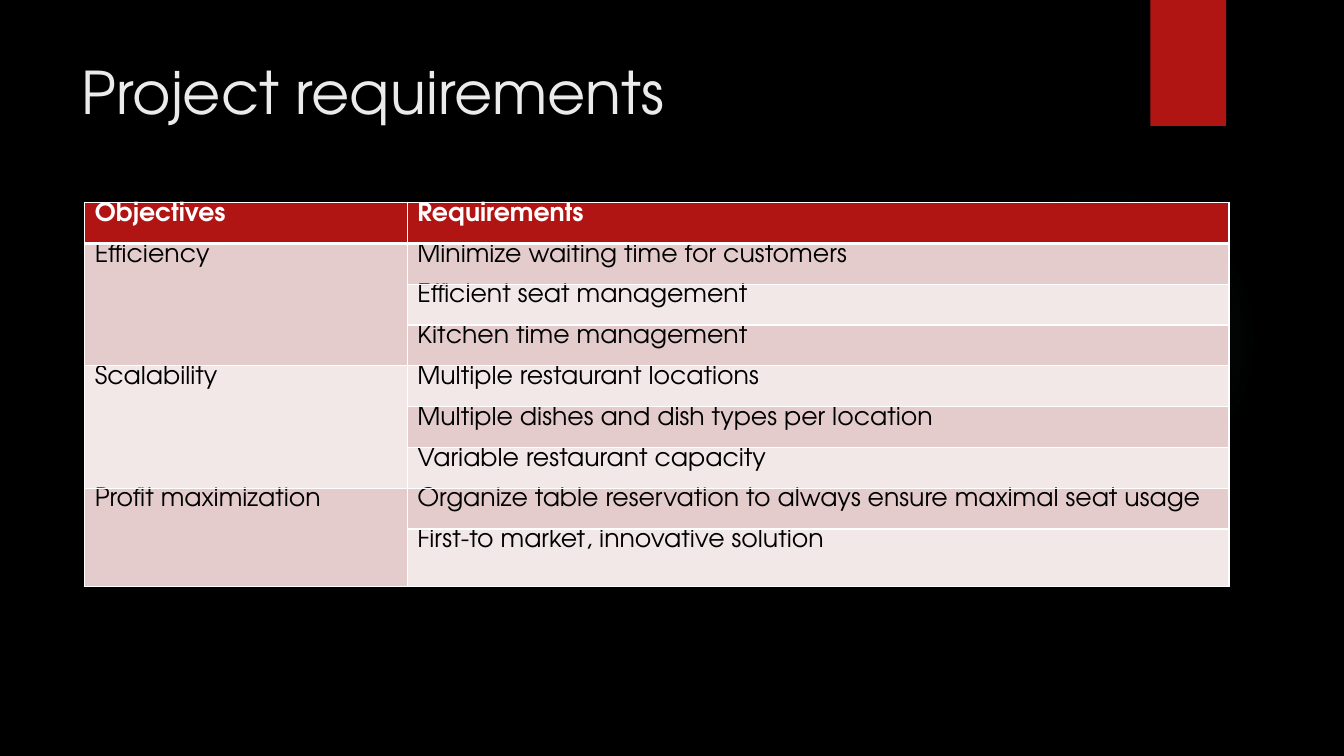
"""Build the project requirements slide: objectives and the requirements under each."""
from lxml import etree
from pptx import Presentation
from pptx.dml.color import RGBColor
from pptx.enum.shapes import MSO_SHAPE as Shape
from pptx.enum.text import MSO_ANCHOR as Anchor, PP_ALIGN as Align
from pptx.oxml import parse_xml
from pptx.oxml.ns import nsdecls, qn
from pptx.util import Inches, Pt

BLACK = RGBColor(0x00, 0x00, 0x00)
WHITE = RGBColor(0xFF, 0xFF, 0xFF)
PALE = RGBColor(0xEB, 0xEB, 0xEB)
RED = RGBColor(0xB0, 0x15, 0x13)
ROSE = RGBColor(0xE4, 0xCC, 0xCC)
BLUSH = RGBColor(0xF2, 0xE8, 0xE7)
TEAL = RGBColor(0x50, 0xB9, 0xC1)
FONT = "TeX Gyre Adventor"

OBJECTIVES = {
    "Efficiency": [
        "Minimize waiting time for customers",
        "Efficient seat management",
        "Kitchen time management",
    ],
    "Scalability": [
        "Multiple restaurant locations",
        "Multiple dishes and dish types per location",
        "Variable restaurant capacity",
    ],
    "Profit maximization": [
        "Organize table reservation to always ensure maximal seat usage",
        "First-to market, innovative solution",
    ],
}

deck = Presentation()
deck.slide_width, deck.slide_height = Inches(13.33), Inches(7.5)


def area(left, top, width, height):
    """Turn percentages of the slide into a box."""
    across, down = deck.slide_width / 100, deck.slide_height / 100
    return [round(n) for n in (left * across, top * down, width * across, height * down)]


def write(frame, text, **looks):
    """Put one formatted line of text in a frame."""
    line = frame.paragraphs[0]
    line.text, line.alignment = text, Align.LEFT
    font = line.runs[0].font
    font.color.rgb = looks.pop("color")
    for key, value in {"name": FONT, **looks}.items():
        setattr(font, key, value)


slide = deck.slides.add_slide(deck.slide_layouts[5])
slide.background.fill.solid()
slide.background.fill.fore_color.rgb = BLACK

glow = slide.shapes.add_shape(Shape.OVAL, *area(70.6, 24.4, 23.1, 41.07))
glow.shadow.inherit = False
glow.line.fill.background()
stops = "".join(
    f'<a:gs pos="{place * 1000}"><a:srgbClr val="{TEAL}">'
    f'<a:alpha val="{alpha * 1000}"/></a:srgbClr></a:gs>'
    for place, alpha in ((0, 7), (36, 6), (69, 0))
)
glow_fill = parse_xml(
    f'<a:gradFill {nsdecls("a")}><a:gsLst>{stops}</a:gsLst><a:path path="circle">'
    '<a:fillToRect l="50000" t="50000" r="50000" b="50000"/></a:path></a:gradFill>'
)
glow.element.spPr.find(qn("a:prstGeom")).addnext(glow_fill)

ribbon = slide.shapes.add_shape(Shape.RECTANGLE, *area(85.6, 0, 5.63, 16.67))
ribbon.shadow.inherit = False
ribbon.fill.solid()
ribbon.fill.fore_color.rgb = RED
ribbon.line.fill.background()

heading = slide.shapes.title
heading.left, heading.top, heading.width, heading.height = area(5.33, 6.67, 77.2, 20.4)
heading.text_frame.vertical_anchor = Anchor.TOP
heading.text_frame.word_wrap = True
write(heading.text_frame, "Project requirements", size=Pt(42), color=PALE)

rows = [("Objectives", "Requirements")]
for objective, requirements in OBJECTIVES.items():
    rows += [(objective if i == 0 else "", need) for i, need in enumerate(requirements)]

row_share, last_share, column_shares = 5.4, 7.6, (24, 61.15)
table_height = row_share * (len(rows) - 1) + last_share
grid = slide.shapes.add_table(
    len(rows), 2, *area(6.3, 26.8, sum(column_shares), table_height)
).table
for column, share in zip(grid.columns, column_shares):
    column.width = area(0, 0, share, 0)[2]
for row in grid.rows:
    row.height = area(0, 0, 0, row_share)[3]
grid.rows[len(rows) - 1].height = area(0, 0, 0, last_share)[3]

for r, texts in enumerate(rows):
    for c, text in enumerate(texts):
        cell = grid.cell(r, c)
        cell.margin_top = cell.margin_bottom = 0
        borders = cell._tc.get_or_add_tcPr()
        for side in ("lnL", "lnR", "lnT", "lnB"):
            thick = (r, side) in ((0, "lnB"), (1, "lnT"))
            border = etree.SubElement(borders, qn(f"a:{side}"), w=str(Pt(3 if thick else 1)))
            paint = etree.SubElement(border, qn("a:solidFill"))
            etree.SubElement(paint, qn("a:srgbClr"), val=str(WHITE))
        cell.fill.solid()
        cell.fill.fore_color.rgb = RED if r == 0 else ROSE if r % 2 else BLUSH
        if text:
            write(cell.text_frame, text, size=Pt(18), bold=r == 0, color=BLACK if r else WHITE)

first = 1
for requirements in OBJECTIVES.values():
    grid.cell(first, 0).merge(grid.cell(first + len(requirements) - 1, 0))
    first += len(requirements)

deck.save("out.pptx")
